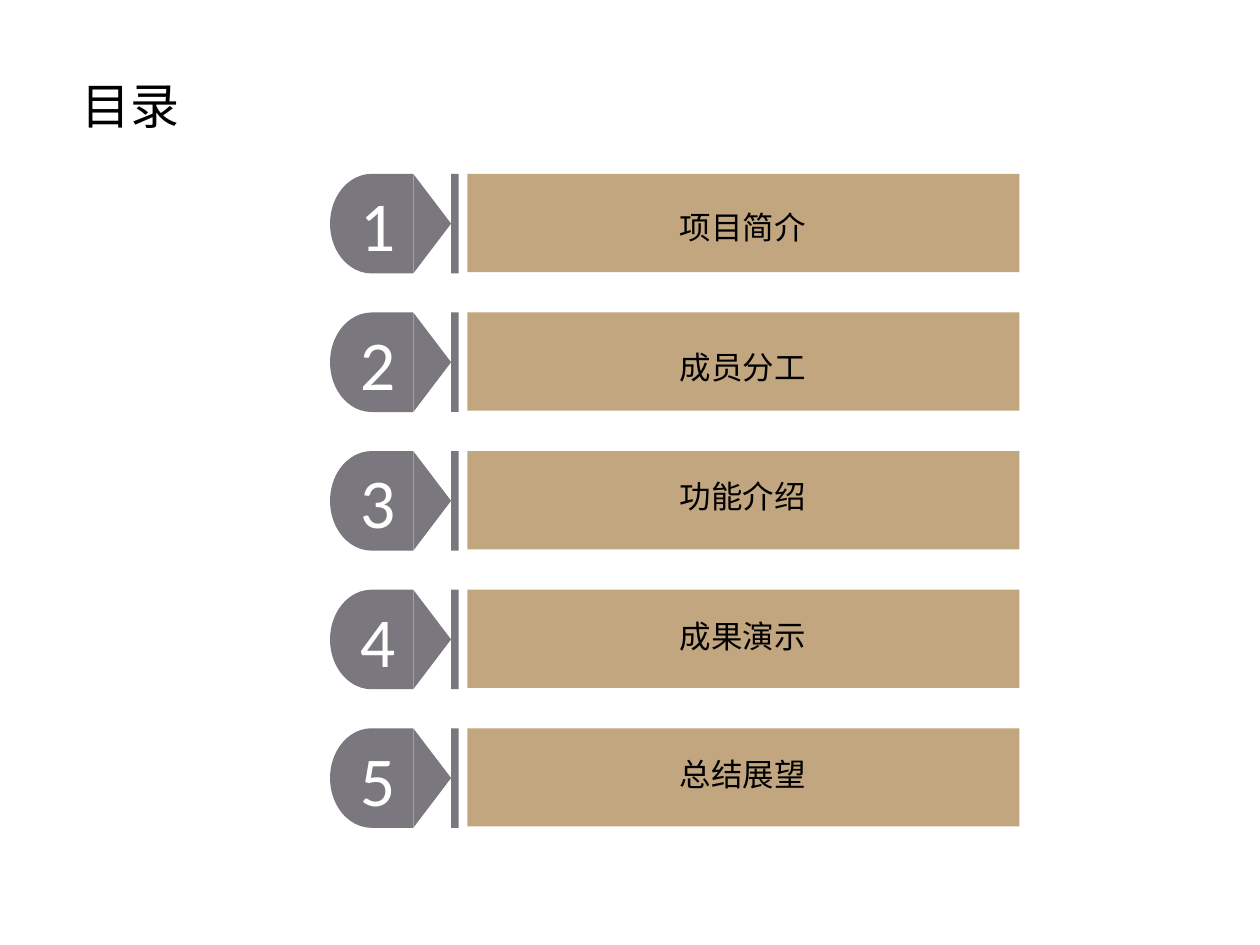
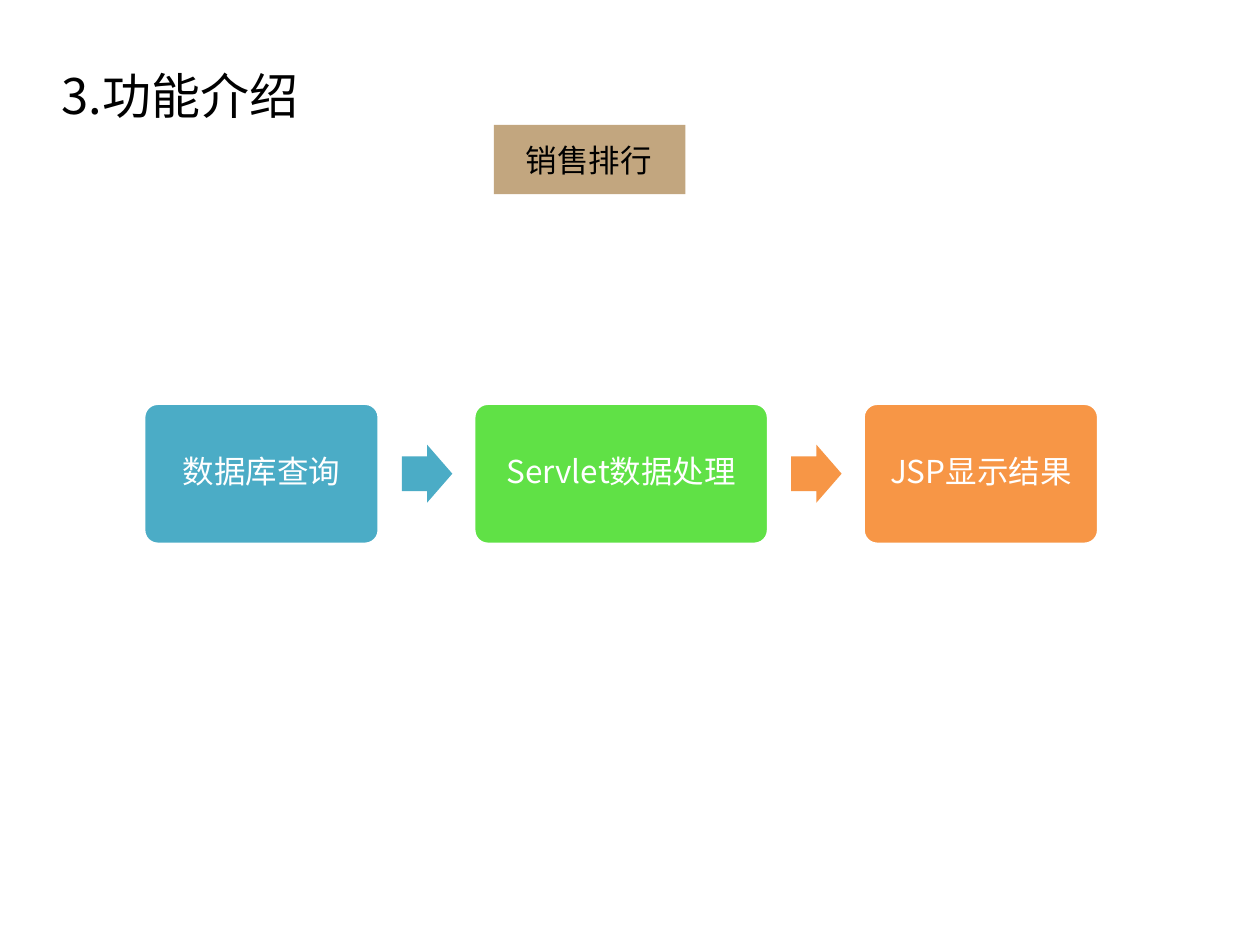
from dataclasses import dataclass

from lxml import etree
from pptx import Presentation
from pptx.dml.color import RGBColor
from pptx.enum.shapes import MSO_SHAPE
from pptx.enum.text import MSO_ANCHOR, MSO_AUTO_SIZE, PP_ALIGN
from pptx.oxml.ns import qn
from pptx.util import Inches, Pt

RECT = MSO_SHAPE.RECTANGLE
ROUND_RECT = MSO_SHAPE.ROUNDED_RECTANGLE
DELAY = MSO_SHAPE.FLOWCHART_DELAY
TRIANGLE = MSO_SHAPE.ISOSCELES_TRIANGLE
ARROW = MSO_SHAPE.RIGHT_ARROW
LEFT, CENTER = PP_ALIGN.LEFT, PP_ALIGN.CENTER
TOP, MIDDLE = MSO_ANCHOR.TOP, MSO_ANCHOR.MIDDLE
TITLE_ONLY = 5


@dataclass(frozen=True)
class Theme:
    cjk: str = "Noto Sans CJK SC"
    latin: str = "Calibri"
    ink: str = "000000"
    white: str = "FFFFFF"
    grey: str = "7A777E"
    tan: str = "C2A67F"
    blue: str = "4BACC6"
    green: str = "60E146"
    orange: str = "F79646"
    title_size: int = 28
    label_size: int = 18
    number_size: int = 40


THEME = Theme()

# Label text and its distance below the top of the band
CONTENTS = [("项目简介", 0.22), ("成员分工", 0.23), ("功能介绍", 0.16),
            ("成果演示", 0.17), ("总结展望", 0.16)]
# Step text, box width, box colour, colour of the arrow leading to it
STEPS = [("数据库查询", 1.87, THEME.blue, None),
         ("Servlet数据处理", 2.34, THEME.green, THEME.blue),
         ("JSP显示结果", 1.87, THEME.orange, THEME.orange)]


def put_text(tf, text, size=THEME.label_size, color=THEME.ink, font=THEME.cjk,
             align=LEFT, anchor=TOP, wrap=True, inset=None, line=None, after=None):
    """Write one formatted paragraph into a text frame."""
    tf.word_wrap, tf.vertical_anchor = wrap, anchor
    tf.auto_size = MSO_AUTO_SIZE.NONE
    if inset is not None:
        tf.margin_left = tf.margin_right = Inches(inset)
        tf.margin_top = tf.margin_bottom = Inches(inset)
    p = tf.paragraphs[0]
    p.alignment, p.line_spacing = align, line
    if after is not None:
        p.space_after = Pt(after)
    r = p.add_run()
    r.text = text
    r.font.size, r.font.name = Pt(size), font
    r.font.color.rgb = RGBColor.from_string(color)
    latin = r.font.color and r.font.name and r._r.rPr.find(qn("a:latin"))
    ea = etree.Element(qn("a:ea"), typeface=font)
    latin.addnext(ea)


def add_shape(shapes, kind, x, y, w, h, fill, outline=None, adj=()):
    sp = shapes.add_shape(kind, Inches(x), Inches(y), Inches(w), Inches(h))
    sp.shadow.inherit = False
    sp.fill.solid()
    sp.fill.fore_color.rgb = RGBColor.from_string(fill)
    if outline:
        sp.line.color.rgb = RGBColor.from_string(outline)
        sp.line.width = Pt(2)
    else:
        sp.line.fill.background()
    for i, value in enumerate(adj):
        sp.adjustments[i] = value
    return sp


def add_band(shapes, text, x, y, w, h, label_dy):
    """Tan band with a label centred across it."""
    label_w = 1.21
    add_shape(shapes, RECT, x, y, w, h, THEME.tan)
    box = shapes.add_textbox(Inches(x + (w - label_w) / 2), Inches(y + label_dy),
                             Inches(label_w), Inches(0.4))
    put_text(box.text_frame, text, wrap=False)


def add_titled_slide(prs, text, x, y, w):
    slide = prs.slides.add_slide(prs.slide_layouts[TITLE_ONLY])
    title = slide.shapes.title
    title.left, title.top = Inches(x), Inches(y)
    title.width, title.height = Inches(w), Inches(0.57)
    put_text(title.text_frame, text, size=THEME.title_size)
    return slide


def add_contents_row(slide, number, text, x, y, label_dy):
    """Numbered pointer, upright bar and labelled band."""
    h, tip = 0.79, 0.3
    shapes = slide.shapes.add_group_shape().shapes
    add_shape(shapes, RECT, x + 0.96, y, 0.06, h, THEME.grey)
    # Rounded end faces left
    badge = add_shape(shapes, DELAY, x, y, 0.66, h, THEME.grey)
    badge.element.spPr.find(qn("a:xfrm")).set("flipH", "1")
    put_text(badge.text_frame, str(number), size=THEME.number_size,
             color=THEME.white, font=THEME.latin, align=CENTER, anchor=MIDDLE)
    # Pointer, turned about its centre
    pointer = add_shape(shapes, TRIANGLE, x + 0.66 + (tip - h) / 2,
                        y + (h - tip) / 2, h, tip, THEME.grey)
    pointer.rotation = 90
    add_band(shapes, text, x + 1.09, y, 4.38, 0.78, label_dy)


def build_contents(prs):
    slide = add_titled_slide(prs, "目录", 0.55, 0.55, 1.09)
    left, top, pitch = 2.62, 1.38, 1.1
    for i, (text, label_dy) in enumerate(CONTENTS):
        add_contents_row(slide, i + 1, text, left, top + i * pitch, label_dy)


def add_flow(slide, steps, x, y, h):
    """Row of step boxes joined by block arrows."""
    arrow_w, arrow_h, gap_before, gap_after = 0.4, 0.46, 0.18, 0.17
    shapes = slide.shapes.add_group_shape().shapes
    for text, w, color, arrow_color in steps:
        if arrow_color:
            x += gap_before
            add_shape(shapes, ARROW, x, y + (h - arrow_h) / 2, arrow_w, arrow_h,
                      arrow_color, adj=(0.6, 0.5))
            x += arrow_w + gap_after
        box = add_shape(shapes, ROUND_RECT, x, y, w, h, color,
                        outline=THEME.white, adj=(0.1,))
        put_text(box.text_frame, text, color=THEME.white, align=CENTER,
                 anchor=MIDDLE, inset=0.07, line=0.9, after=6.3)
        x += w


def build_sales_ranking(prs):
    slide = add_titled_slide(prs, "3.功能介绍", 0.39, 0.47, 2.1)
    heading = slide.shapes.add_group_shape()
    add_band(heading.shapes, "销售排行", 3.92, 0.99, 1.52, 0.55, 0.08)
    add_flow(slide, STEPS, 1.14, 3.2, 1.12)


def main():
    prs = Presentation()
    prs.slide_width, prs.slide_height = Inches(10), Inches(7.5)
    build_contents(prs)
    build_sales_ranking(prs)
    prs.save("out.pptx")


if __name__ == "__main__":
    main()
